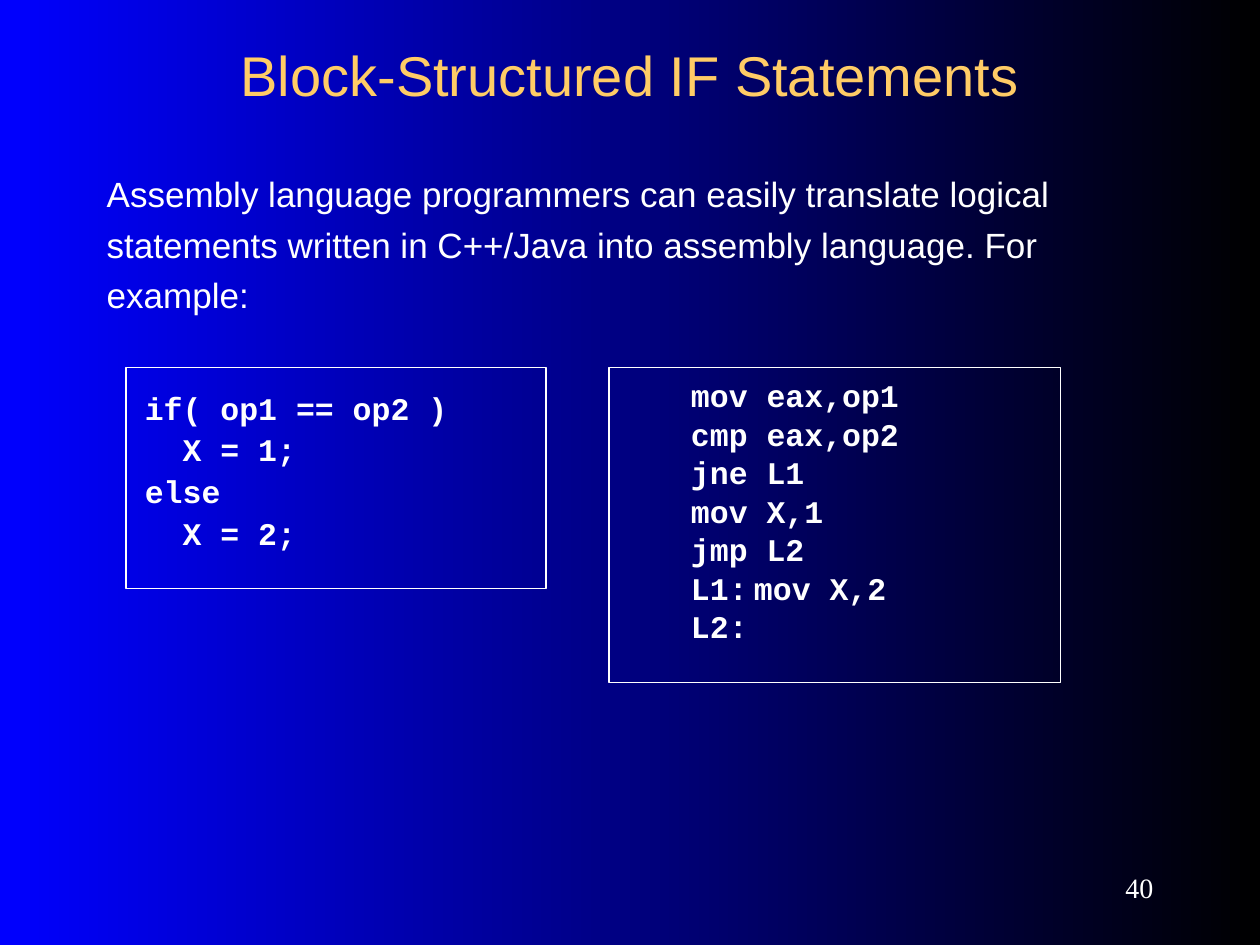
from lxml import etree
from pptx import Presentation
from pptx import util as u
from pptx.dml.color import RGBColor
from pptx.enum import shapes, text
from pptx.oxml.ns import qn

COLOURS = {"title": "FFCC66", "text": "FFFFFF", "dark": "000000", "blue": "0000FF"}
FONTS = {
    "title": {"name": "Arial", "size": u.Pt(32), "bold": False},
    "body": {"name": "Arial", "size": u.Pt(20), "bold": False},
    "code": {"name": "Courier New", "size": u.Pt(18), "bold": True},
    "number": {"name": "Times New Roman", "size": u.Pt(16), "bold": False},
}
TOP, MIDDLE = text.MSO_ANCHOR.TOP, text.MSO_ANCHOR.MIDDLE
LEFT, CENTER, RIGHT = text.PP_ALIGN.LEFT, text.PP_ALIGN.CENTER, text.PP_ALIGN.RIGHT


def colour(name):
    return RGBColor.from_string(COLOURS[name])


def assign(target, values):
    for name, value in values.items():
        setattr(target, name, value)


class SlideBuilder:
    """Holds the deck, its current page and the shared style."""

    def __init__(self):
        self.deck = Presentation()
        assign(self.deck, {"slide_width": u.Cm(25.4), "slide_height": u.Cm(19.05)})
        self.page = self.deck.slides.add_slide(self.deck.slide_layouts[1])

    def background(self):
        fill = self.page.background.fill
        fill.gradient()
        fill.gradient_angle = 180
        for stop, name in zip(fill.gradient_stops, ("dark", "blue")):
            stop.color.rgb = colour(name)

    def place(self, shape, left, top, width, height):
        assign(shape, {"left": u.Cm(left), "top": u.Cm(top),
                       "width": u.Cm(width), "height": u.Cm(height)})

    def frame(self, shape, anchor, side=0.25, edge=0.13):
        """Set wrapping, anchor and inner margins of a text frame."""
        box = shape.text_frame
        assign(box, {"word_wrap": True, "auto_size": text.MSO_AUTO_SIZE.NONE,
                     "vertical_anchor": anchor,
                     "margin_left": u.Cm(side), "margin_right": u.Cm(side),
                     "margin_top": u.Cm(edge), "margin_bottom": u.Cm(edge)})
        return box

    def add_words(self, para, words, style, ink="text", **layout):
        assign(para, {"space_before": u.Pt(0), **layout})
        span = para.add_run()
        span.text = words
        assign(span.font, FONTS[style])
        span.font.color.rgb = colour(ink)

    def indent(self, para, left, tab=None):
        """Give a paragraph a plain left indent, no bullet, and one tab stop."""
        props = para._p.get_or_add_pPr()
        props.set("marL", str(u.Cm(left)))
        props.set("indent", "0")
        etree.SubElement(props, qn("a:buNone"))
        if tab:
            stops = etree.SubElement(props, qn("a:tabLst"))
            etree.SubElement(stops, qn("a:tab"), pos=str(u.Cm(tab)), algn="l")

    def title(self, words, *area):
        shape = self.page.shapes.title
        self.place(shape, *area)
        para = self.frame(shape, MIDDLE).paragraphs[0]
        self.add_words(para, words, "title", ink="title", alignment=CENTER)

    def body(self, words, *area):
        shape = self.page.placeholders[1]
        self.place(shape, *area)
        para = self.frame(shape, TOP).paragraphs[0]
        self.indent(para, 0)
        self.add_words(para, words, "body", alignment=LEFT, line_spacing=1.2)

    def code(self, listing, *area, spacing, gap, indent=0):
        shape = self.page.shapes.add_shape(
            shapes.MSO_SHAPE.RECTANGLE, *(u.Cm(length) for length in area))
        shape.shadow.inherit = False
        shape.fill.background()
        shape.line.color.rgb = colour("text")
        shape.line.width = u.Pt(0.75)
        box = self.frame(shape, TOP, side=0.38, edge=0.51)
        for index, line in enumerate(listing.splitlines()):
            para = box.add_paragraph() if index else box.paragraphs[0]
            self.indent(para, indent, tab=1.27)
            self.add_words(para, line, "code", alignment=LEFT, line_spacing=spacing,
                           space_before=u.Pt(gap if index else 0))

    def number(self, words, *area):
        shape = self.page.shapes.add_textbox(*(u.Cm(length) for length in area))
        para = self.frame(shape, MIDDLE).paragraphs[0]
        self.add_words(para, words, "number", alignment=RIGHT)


HIGH_LEVEL = """\
if( op1 == op2 )
  X = 1;
else
  X = 2;"""

ASSEMBLY = """\
mov eax,op1
cmp eax,op2
jne L1
mov X,1
jmp L2
L1:\tmov X,2
L2:"""


def main():
    builder = SlideBuilder()
    builder.background()
    builder.title("Block-Structured IF Statements", 1.9, 0.64, 21.6, 1.7)
    builder.body("Assembly language programmers can easily translate logical "
                 "statements written in C++/Java into assembly language. "
                 "For example:", 1.9, 3.18, 21.6, 3.6)
    builder.code(ASSEMBLY, 12.28, 7.41, 9.1, 6.35, spacing=0.5, gap=11.2, indent=1.27)
    builder.code(HIGH_LEVEL, 2.54, 7.41, 8.47, 4.45, spacing=0.9, gap=4.5)
    builder.number("40", 20.75, 17.35, 2.75, 1.06)
    builder.deck.save("out.pptx")


if __name__ == "__main__":
    main()
